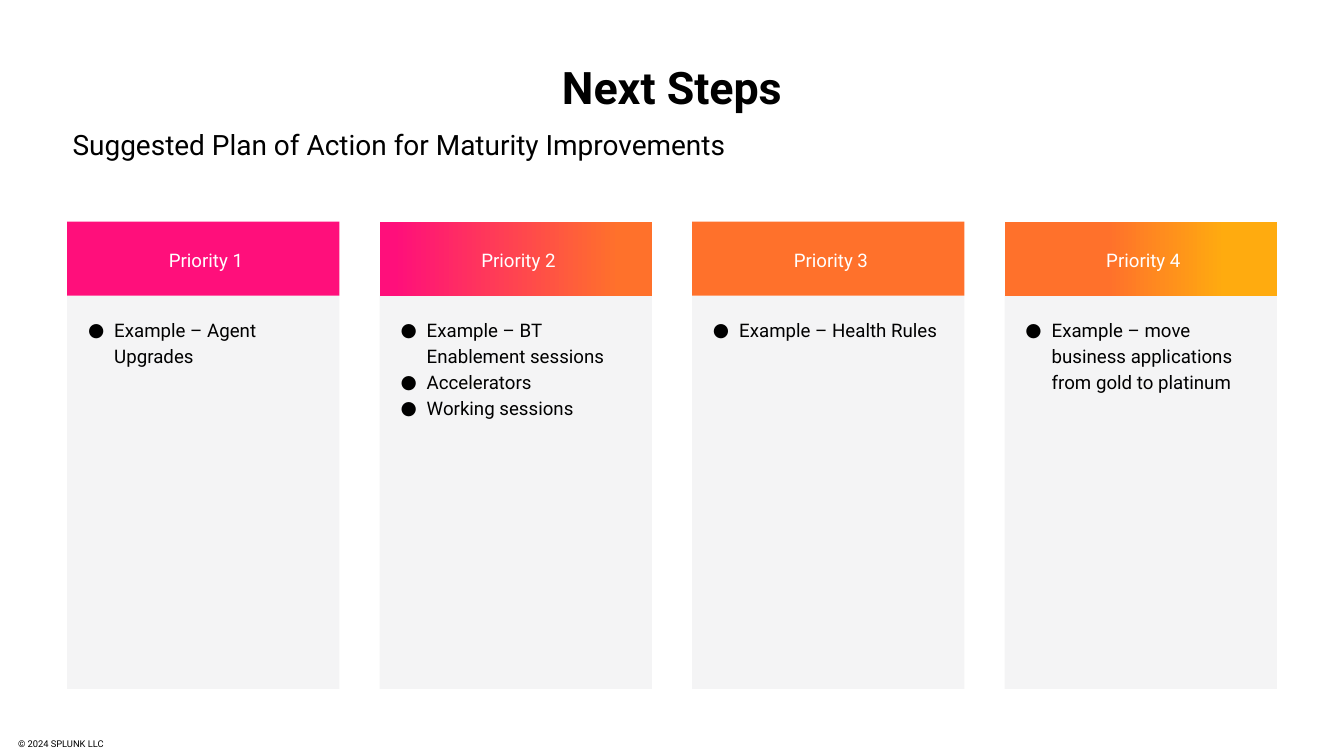
from dataclasses import dataclass

from lxml.etree import SubElement
from pptx import Presentation
from pptx.dml.color import RGBColor
from pptx.enum.shapes import MSO_SHAPE
from pptx.enum.text import MSO_ANCHOR, PP_ALIGN
from pptx.oxml.ns import qn
from pptx.util import Inches, Pt

COLORS = {
    "black": "000000",
    "white": "FFFFFF",
    "panel": "F4F4F5",
    "pink": "FF0F7B",
    "orange": "FF712B",
    "amber": "FFAB0F",
}
FONT = "Roboto"
LEFT, COLUMN_WIDTH, COLUMN_STEP = 1, 4.05, 4.65
HEADER_TOP, HEADER_HEIGHT, PANEL_HEIGHT = 3.3, 1.1, 5.85


@dataclass
class Priority:
    title: str
    stops: list[tuple[int, str]]
    items: list[str]
    side_inset: float = 0.3


PRIORITIES = [
    Priority("Priority 1", [(0, "pink")], ["Example – Agent Upgrades"], 0.2),
    Priority(
        "Priority 2",
        [(0, "pink"), (5, "pink"), (88, "orange"), (100, "orange")],
        ["Example – BT Enablement sessions", "Accelerators", "Working sessions"],
    ),
    Priority("Priority 3", [(0, "orange")], ["Example – Health Rules"]),
    Priority(
        "Priority 4",
        [(0, "orange"), (38, "orange"), (81, "amber"), (100, "amber")],
        ["Example – move business applications from gold to platinum"],
    ),
]


def rgb(name: str) -> RGBColor:
    return RGBColor.from_string(COLORS[name])


def set_insets(frame, left: float, top: float, right: float, bottom: float) -> None:
    frame.margin_left, frame.margin_top = Inches(left), Inches(top)
    frame.margin_right, frame.margin_bottom = Inches(right), Inches(bottom)


def set_indent(para, first: float) -> None:
    properties = para._p.get_or_add_pPr()
    properties.set("marL", str(Inches(0.5)))
    properties.set("indent", str(Inches(first)))


def add_bullet(para) -> None:
    set_indent(para, -0.39)
    properties = para._p.get_or_add_pPr()
    color = SubElement(properties, qn("a:buClr"))
    SubElement(color, qn("a:srgbClr"), val=COLORS["black"])
    SubElement(properties, qn("a:buFont"), typeface=FONT)
    SubElement(properties, qn("a:buChar"), char="●")


def format_runs(para, size: int, color: str, bold: bool = False) -> None:
    for span in para.runs:
        span.font.name = FONT
        span.font.size = Pt(size)
        span.font.bold = bold
        span.font.color.rgb = rgb(color)


def add_text(page, text: str, left: float, top: float, width: float, height: float,
             size: int, inset: float = 0, bold: bool = False):
    box = page.shapes.add_textbox(Inches(left), Inches(top), Inches(width), Inches(height))
    frame = box.text_frame
    frame.word_wrap = True
    set_insets(frame, inset, inset, inset, inset)
    frame.text = text
    format_runs(frame.paragraphs[0], size, "black", bold)
    return frame


def fill_shape(shape, stops: list[tuple[int, str]]) -> None:
    if len(stops) == 1:
        shape.fill.solid()
        shape.fill.fore_color.rgb = rgb(stops[0][1])
        return
    shape.fill.gradient()
    shape.fill.gradient_angle = 0
    stop_list = shape.element.spPr.find(qn("a:gradFill")).find(qn("a:gsLst"))
    for stop in list(stop_list):
        stop_list.remove(stop)
    for position, color in stops:
        stop = SubElement(stop_list, qn("a:gs"), pos=str(position * 1000))
        SubElement(stop, qn("a:srgbClr"), val=COLORS[color])


def add_block(page, left: float, top: float, height: float, stops: list[tuple[int, str]]):
    shape = page.shapes.add_shape(
        MSO_SHAPE.RECTANGLE, Inches(left), Inches(top), Inches(COLUMN_WIDTH), Inches(height)
    )
    shape.shadow.inherit = False
    shape.line.fill.background()
    fill_shape(shape, stops)
    shape.text_frame.word_wrap = True
    return shape.text_frame


def add_priority(page, left: float, priority: Priority) -> None:
    panel = add_block(page, left, HEADER_TOP + HEADER_HEIGHT, PANEL_HEIGHT, [(0, "panel")])
    panel.vertical_anchor = MSO_ANCHOR.TOP
    set_insets(panel, 0.2, 0.3, 0.2, 0.2)
    panel.text = "\n".join(priority.items)
    for para in panel.paragraphs:
        add_bullet(para)
        para.alignment = PP_ALIGN.LEFT
        para.line_spacing = 1.15
        format_runs(para, 20, "black")

    header = add_block(page, left, HEADER_TOP, HEADER_HEIGHT, priority.stops)
    header.vertical_anchor = MSO_ANCHOR.MIDDLE
    set_insets(header, priority.side_inset, 0, priority.side_inset, 0)
    header.text = priority.title
    para = header.paragraphs[0]
    set_indent(para, -0.42)
    para.alignment = PP_ALIGN.CENTER
    para.line_spacing = 1.15
    format_runs(para, 20, "white")


def main() -> None:
    deck = Presentation()
    deck.slide_width, deck.slide_height = Inches(20), Inches(11.25)
    page = deck.slides.add_slide(deck.slide_layouts[6])

    footer = add_text(page, "© 2024 SPLUNK LLC", 0.17, 10.88, 1.9, 0.37, 10, inset=0.1)
    footer.vertical_anchor = MSO_ANCHOR.MIDDLE

    title = add_text(page, "Next Steps", LEFT, 1, 18, 0.69, 48, bold=True)
    title.vertical_anchor = MSO_ANCHOR.BOTTOM
    title.paragraphs[0].alignment = PP_ALIGN.CENTER
    title.paragraphs[0].line_spacing = 0.85

    for index, priority in enumerate(PRIORITIES):
        add_priority(page, LEFT + index * COLUMN_STEP, priority)

    subtitle = add_text(
        page, "Suggested Plan of Action for Maturity Improvements", LEFT, 1.9, 18, 0.5, 30
    )
    set_indent(subtitle.paragraphs[0], -0.42)

    deck.save("out.pptx")


if __name__ == "__main__":
    main()
